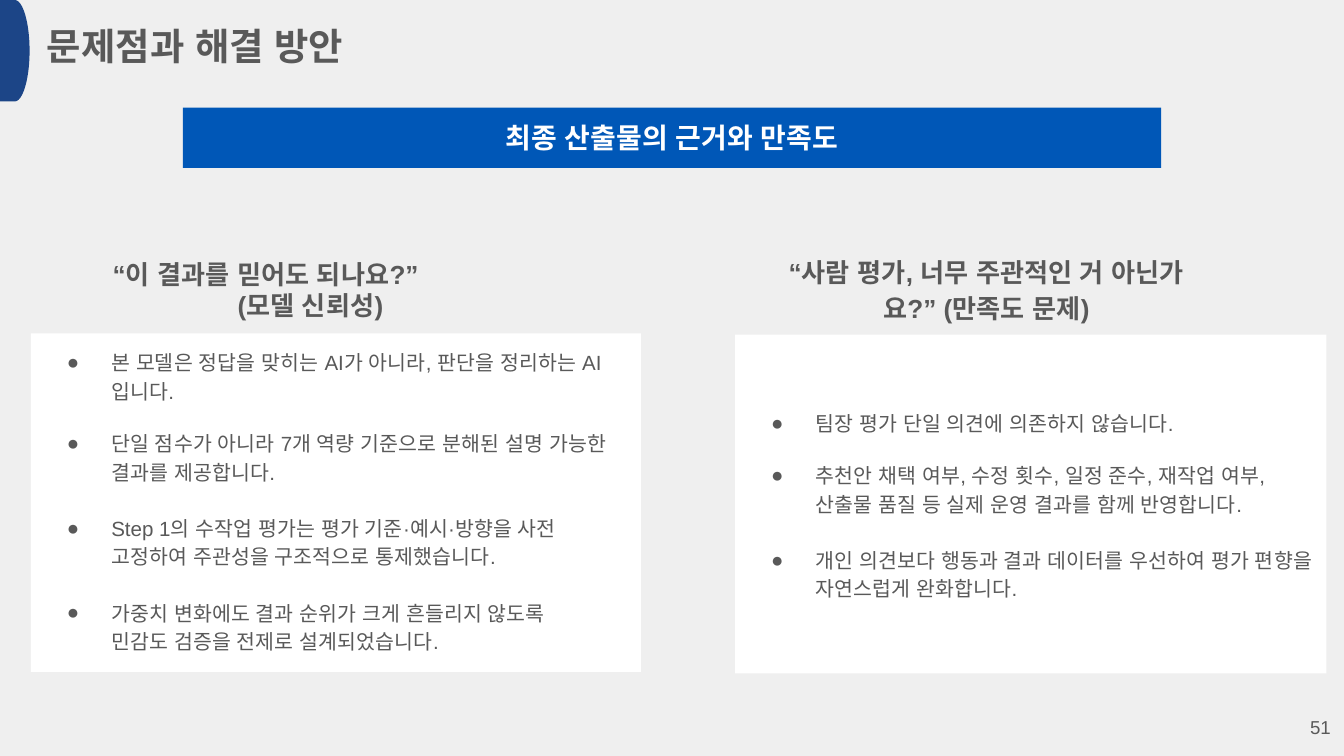
from dataclasses import dataclass
from typing import Optional

from lxml import etree
from pptx import Presentation
from pptx.dml.color import RGBColor
from pptx.enum.lang import MSO_LANGUAGE_ID
from pptx.enum.shapes import MSO_SHAPE
from pptx.enum.text import MSO_ANCHOR, PP_ALIGN
from pptx.oxml.ns import qn
from pptx.util import Inches, Pt

BACKGROUND = RGBColor(0xEF, 0xEF, 0xEF)
NAVY = RGBColor(0x1C, 0x45, 0x87)
BLUE = RGBColor(0x00, 0x57, 0xB7)
WHITE = RGBColor(0xFF, 0xFF, 0xFF)
GRAY = RGBColor(0x59, 0x59, 0x59)

RECTANGLE = MSO_SHAPE.RECTANGLE
DELAY = MSO_SHAPE.FLOWCHART_DELAY
TOP, MIDDLE = MSO_ANCHOR.TOP, MSO_ANCHOR.MIDDLE
LEFT, CENTER, RIGHT = PP_ALIGN.LEFT, PP_ALIGN.CENTER, PP_ALIGN.RIGHT
KOREAN = MSO_LANGUAGE_ID.KOREAN

FONT = "Arial"
SLIDE_WIDTH = Inches(10)
SLIDE_HEIGHT = SLIDE_WIDTH * 9 // 16
INSET = Inches(0.1)
BULLET_INDENT = Inches(0.5)
BULLET_HANGING = Inches(-0.33)


@dataclass(frozen=True)
class Area:
    """Position and size in percent of the slide."""
    left: float
    top: float
    width: float
    height: float

    def lengths(self) -> tuple[int, ...]:
        """Return left, top, width and height in slide units."""
        across, down = SLIDE_WIDTH / 100, SLIDE_HEIGHT / 100
        return (round(self.left * across), round(self.top * down),
                round(self.width * across), round(self.height * down))


@dataclass(frozen=True)
class Line:
    """A paragraph with its layout."""
    text: str
    align: PP_ALIGN = LEFT
    spacing: float = 1.0
    after: float = 0
    indent: float = 0
    bullet: bool = False


@dataclass(frozen=True)
class Block:
    """A text block, filled or plain."""
    area: Area
    lines: tuple[Line, ...]
    size: float
    color: RGBColor = GRAY
    bold: bool = False
    anchor: MSO_ANCHOR = TOP
    fill: Optional[RGBColor] = None


def bullets(*items: tuple[str, float]) -> tuple[Line, ...]:
    """Return bulleted lines from pairs of text and space after."""
    return tuple(Line(text, spacing=1.15, after=after, bullet=True)
                 for text, after in items)


BLOCKS = (
    Block(Area(13.6, 14.22, 72.8, 8), (Line("최종 산출물의 근거와 만족도", CENTER),),
          15, WHITE, True, fill=BLUE),
    Block(Area(2.3, 44.09, 45.4, 44.8), bullets(
        ("본 모델은 정답을 맞히는 AI가 아니라, 판단을 정리하는 AI입니다.", 13),
        ("단일 점수가 아니라 7개 역량 기준으로 분해된 설명 가능한 결과를 제공합니다.", 15),
        ("Step 1의 수작업 평가는 평가 기준·예시·방향을 사전 고정하여 주관성을 구조적으로 통제했습니다.", 15),
        ("가중치 변화에도 결과 순위가 크게 흔들리지 않도록\n민감도 검증을 전제로 설계되었습니다.", 0),
    ), 11, fill=WHITE),
    Block(Area(54.7, 44.27, 44, 44.8), bullets(
        ("팀장 평가 단일 의견에 의존하지 않습니다.", 13),
        ("추천안 채택 여부, 수정 횟수, 일정 준수, 재작업 여부, 산출물 품질 등 실제 운영 결과를 함께 반영합니다.", 15),
        ("개인 의견보다 행동과 결과 데이터를 우선하여 평가 편향을 자연스럽게 완화합니다.", 0),
    ), 11, anchor=MIDDLE, fill=WHITE),
    Block(Area(2.5, 1.24, 48.3, 11.56), (Line("문제점과 해결 방안"),), 20, bold=True),
    Block(Area(6.7, 32.36, 32.8, 11.91), (
        Line("“이 결과를 믿어도 되나요?”", indent=0.07),
        Line("(모델 신뢰성)", CENTER, after=4),
    ), 14, bold=True),
    Block(Area(56.1, 31.47, 34.6, 12.62), (
        Line("“사람 평가, 너무 주관적인 거 아닌가요?” (만족도 문제)", CENTER, 1.15, 4),
    ), 14, bold=True),
    Block(Area(94, 92.27, 6, 7.73), (Line("51", RIGHT),), 10, anchor=MIDDLE),
)


def add_bullet(paragraph) -> None:
    """Give a paragraph a hanging round bullet."""
    properties = paragraph._p.get_or_add_pPr()
    properties.set("marL", str(BULLET_INDENT))
    properties.set("indent", str(BULLET_HANGING))
    color = etree.SubElement(properties, qn("a:buClr"))
    etree.SubElement(color, qn("a:srgbClr")).set("val", str(GRAY))
    etree.SubElement(properties, qn("a:buFont")).set("typeface", FONT)
    etree.SubElement(properties, qn("a:buChar")).set("char", "●")


def add_text(paragraph, text: str, block: Block) -> None:
    """Add a Korean run in the style of its block."""
    run = paragraph.add_run()
    run.text = text
    font = run.font
    font.size = Pt(block.size)
    font.bold = block.bold
    font.color.rgb = block.color
    font.language_id = KOREAN
    font.name = FONT
    properties = run._r.get_or_add_rPr()
    for tag in ("a:ea", "a:cs"):
        etree.SubElement(properties, qn(tag)).set("typeface", FONT)


def add_line(paragraph, line: Line, block: Block) -> None:
    """Fill a paragraph with the runs of a line."""
    if line.bullet:
        add_bullet(paragraph)
    elif line.indent:
        paragraph._p.get_or_add_pPr().set("marL", str(Inches(line.indent)))
    paragraph.alignment = line.align
    paragraph.line_spacing = line.spacing
    paragraph.space_before = Pt(0)
    paragraph.space_after = Pt(line.after)
    for index, text in enumerate(line.text.split("\n")):
        if index:
            paragraph.add_line_break()
        add_text(paragraph, text, block)


def add_filled_shape(slide, kind: MSO_SHAPE, area: Area, fill: RGBColor):
    """Add a flat shape without an outline."""
    shape = slide.shapes.add_shape(kind, *area.lengths())
    shape.shadow.inherit = False
    shape.fill.solid()
    shape.fill.fore_color.rgb = fill
    shape.line.fill.background()
    return shape


def add_block(slide, block: Block) -> None:
    """Add a text block to the slide."""
    if block.fill is None:
        shape = slide.shapes.add_textbox(*block.area.lengths())
    else:
        shape = add_filled_shape(slide, RECTANGLE, block.area, block.fill)
    frame = shape.text_frame
    frame.word_wrap = True
    frame.vertical_anchor = block.anchor
    frame.margin_left = frame.margin_right = INSET
    frame.margin_top = frame.margin_bottom = INSET
    for index, line in enumerate(block.lines):
        paragraph = frame.add_paragraph() if index else frame.paragraphs[0]
        add_line(paragraph, line, block)


def main() -> None:
    """Build and save the presentation."""
    presentation = Presentation()
    presentation.slide_width = SLIDE_WIDTH
    presentation.slide_height = SLIDE_HEIGHT
    slide = presentation.slides.add_slide(presentation.slide_layouts[6])
    slide.background.fill.solid()
    slide.background.fill.fore_color.rgb = BACKGROUND
    add_filled_shape(slide, DELAY, Area(0, 0, 2.2, 13.42), NAVY)
    for block in BLOCKS:
        add_block(slide, block)
    presentation.save("out.pptx")


if __name__ == "__main__":
    main()
